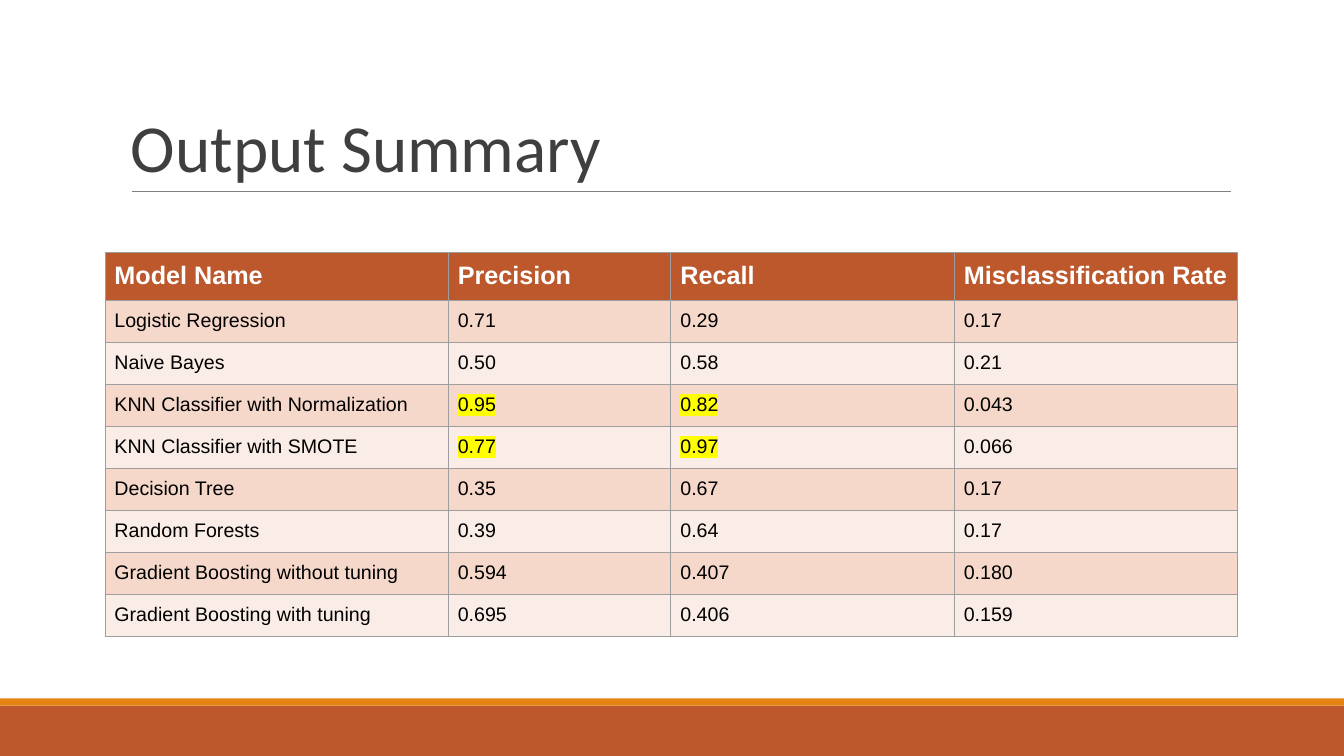
"""Build the slide that compares the models by precision, recall and error rate."""
from pptx import Presentation
from pptx import util as u
from pptx.dml.color import RGBColor
from pptx.enum import shapes, text
from pptx.oxml import parse_xml
from pptx.oxml.ns import nsdecls

PX = 9525
RUST = RGBColor(0xBD, 0x58, 0x2C)
ORANGE = RGBColor(0xE4, 0x83, 0x12)
RULE_GREY = RGBColor(0x7F, 0x7F, 0x7F)
TITLE_GREY = RGBColor(0x3F, 0x3F, 0x3F)
GRID_GREY = RGBColor(0x9E, 0x9E, 0x9E)
BANDS = [RGBColor(0xFA, 0xEC, 0xE6), RGBColor(0xF5, 0xD8, 0xCA)]
YELLOW = RGBColor(0xFF, 0xFF, 0x00)
WHITE = RGBColor(0xFF, 0xFF, 0xFF)
BLACK = RGBColor(0x00, 0x00, 0x00)

HEADER_FONT = {"name": "Arial", "size": u.Pt(18), "bold": True}
BODY_FONT = {"name": "Arial", "size": u.Pt(14), "bold": False}
CELL_MARGINS = {f"margin_{side}": 9 * PX for side in ("left", "top", "right", "bottom")}

COLUMN_WIDTHS = [327, 212, 270, 270]
HEADER_HEIGHT, ROW_HEIGHT = 46, 40
RESULTS = [
    ["Model Name", "Precision", "Recall", "Misclassification Rate"],
    ["Logistic Regression", "0.71", "0.29", "0.17"],
    ["Naive Bayes", "0.50", "0.58", "0.21"],
    ["KNN Classifier with Normalization", "0.95", "0.82", "0.043"],
    ["KNN Classifier with SMOTE", "0.77", "0.97", "0.066"],
    ["Decision Tree", "0.35", "0.67", "0.17"],
    ["Random Forests", "0.39", "0.64", "0.17"],
    ["Gradient Boosting without tuning", "0.594", "0.407", "0.180"],
    ["Gradient Boosting with tuning", "0.695", "0.406", "0.159"],
]
BEST_SCORES = {(row, column) for row in (3, 4) for column in (1, 2)}


def px(*lengths):
    """Turn pixel lengths into EMU."""
    return [u.Emu(length * PX) for length in lengths]


def apply(target, values):
    """Set each attribute of the target from a dict."""
    for name, value in values.items():
        setattr(target, name, value)


def add_bar(slide, top, height, color):
    """Draw a full-width footer bar."""
    bar = slide.shapes.add_shape(shapes.MSO_SHAPE.RECTANGLE, *px(0, top, 1280, height))
    bar.shadow.inherit = False
    bar.fill.solid()
    bar.fill.fore_color.rgb = color
    bar.line.fill.background()


def add_rule(slide, left, right, y):
    """Draw the thin line below the title."""
    rule = slide.shapes.add_connector(shapes.MSO_CONNECTOR.STRAIGHT, *px(left, y, right, y))
    rule.line.color.rgb = RULE_GREY
    rule.line.width = u.Pt(0.75)
    rule._element.spPr.append(parse_xml(f"<a:effectLst {nsdecls('a')}/>"))


def set_title(slide, wording):
    """Place and format the title."""
    title = slide.shapes.title
    apply(title, dict(zip(("left", "top", "width", "height"), px(115, 30, 1056, 152))))
    title.text = wording
    apply(title.text_frame, {"vertical_anchor": text.MSO_ANCHOR.BOTTOM, "word_wrap": True,
                             "auto_size": text.MSO_AUTO_SIZE.NONE})
    heading = title.text_frame.paragraphs[0]
    apply(heading, {"alignment": text.PP_ALIGN.LEFT, "line_spacing": 0.85})
    font = heading.runs[0].font
    apply(font, {"name": "Calibri", "size": u.Pt(48)})
    font.color.rgb = TITLE_GREY


def add_borders(cell):
    """Give all four sides of a cell the grid line."""
    properties = cell._tc.get_or_add_tcPr()
    for side in "LRTB":
        properties.append(parse_xml(
            f'<a:ln{side} {nsdecls("a")} w="{u.Pt(0.75)}"><a:solidFill>'
            f'<a:srgbClr val="{GRID_GREY}"/></a:solidFill></a:ln{side}>'))


def highlight(run):
    """Mark the text of a run in yellow."""
    run.font.color.rgb
    color_fill = run._r.rPr.solidFill
    color_fill.addnext(parse_xml(
        f'<a:highlight {nsdecls("a")}><a:srgbClr val="{YELLOW}"/></a:highlight>'))


def fill_cell(cell, wording, is_header, band, is_best):
    """Write and format one cell of the results."""
    cell.text = wording
    apply(cell, CELL_MARGINS)
    add_borders(cell)
    cell.fill.solid()
    cell.fill.fore_color.rgb = RUST if is_header else band
    run = cell.text_frame.paragraphs[0].runs[0]
    apply(run.font, HEADER_FONT if is_header else BODY_FONT)
    run.font.color.rgb = WHITE if is_header else BLACK
    if is_best:
        highlight(run)


def add_results(slide, left, top):
    """Add the table of model results."""
    heights = [HEADER_HEIGHT] + [ROW_HEIGHT] * (len(RESULTS) - 1)
    results = slide.shapes.add_table(
        len(RESULTS), len(COLUMN_WIDTHS),
        *px(left, top, sum(COLUMN_WIDTHS), sum(heights))).table
    for column, width in zip(results.columns, px(*COLUMN_WIDTHS)):
        column.width = width
    for row, height in zip(results.rows, px(*heights)):
        row.height = height
    for r, entries in enumerate(RESULTS):
        for c, wording in enumerate(entries):
            fill_cell(results.cell(r, c), wording, r == 0, BANDS[r % 2], (r, c) in BEST_SCORES)


def main():
    """Build and save the slide."""
    deck = Presentation()
    deck.slide_width, deck.slide_height = px(1280, 720)
    slide = deck.slides.add_slide(deck.slide_layouts[5])
    add_bar(slide, 672, 48, RUST)
    add_bar(slide, 665, 7, ORANGE)
    add_rule(slide, 126, 1172, 182)
    set_title(slide, "Output Summary")
    add_results(slide, 100, 240)
    deck.save("out.pptx")


if __name__ == "__main__":
    main()
